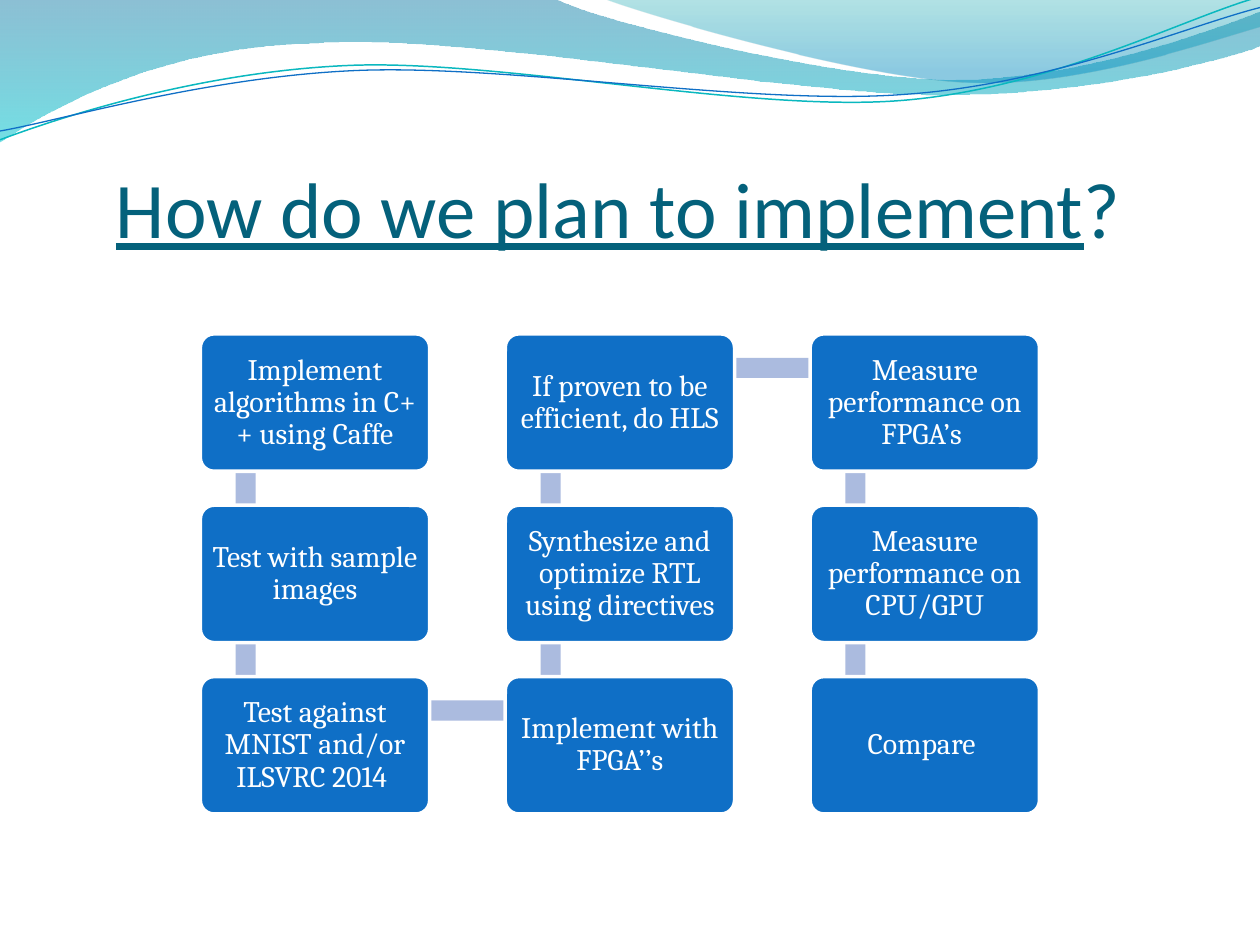
from lxml.etree import SubElement
from pptx import Presentation
from pptx.dml.color import RGBColor
from pptx.enum.shapes import MSO_SHAPE as Shape
from pptx.enum.text import MSO_ANCHOR as Anchor, MSO_AUTO_SIZE as AutoSize, PP_ALIGN as Align
from pptx.oxml.ns import qn
from pptx.util import Inches, Pt

WHITE = RGBColor(0xFF, 0xFF, 0xFF)
BLUE = RGBColor(0x0F, 0x6F, 0xC6)
PALE_BLUE = RGBColor(0xAB, 0xBB, 0xDF)
TITLE_TEAL = RGBColor(0x04, 0x61, 0x7B)
LINE_TEAL = RGBColor(0x0A, 0xB8, 0xBF)
DEEP_BLUE = RGBColor(0x00, 0x74, 0xA1)
CYAN = RGBColor(0x00, 0xC6, 0xCF)
SEA_GREEN = RGBColor(0x00, 0xA1, 0xA9)
SKY_BLUE = RGBColor(0x00, 0x8B, 0xBF)

GRID_LEFT, GRID_TOP = 1.59, 2.65
COLUMN_STEP, ROW_STEP = 2.42, 1.36
BOX_WIDTH, BOX_HEIGHT = 1.82, 1.09
BAR_THICKNESS = 0.16

BACK_WAVE = [
    (0, 0), (4.4, -0.01),
    (4.76, 0.17, 6.64, 0.63, 7.58, 0.63),
    (8.53, 0.63, 9.58, 0.26, 10, 0.09),
    (10.01, 0.36),
    (9.83, 0.44, 8.7, 0.76, 7.46, 0.75),
    (6.22, 0.75, 3.82, 0.28, 2.57, 0.34),
    (1.29, 0.36, 0.46, 0.83, -0.01, 1.13),
]
FRONT_WAVE = [
    (4.79, -0.01),
    (5.09, 0.11, 6.82, 0.62, 7.69, 0.65),
    (8.56, 0.69, 9.61, 0.32, 10, 0.21),
    (10, 0),
]
TEAL_CURVE = [
    (0, 1.11),
    (0.48, 0.93, 1.58, 0.57, 2.77, 0.52),
    (3.95, 0.47, 5.93, 0.89, 7.13, 0.8),
    (8.33, 0.71, 9.38, 0.15, 9.98, -0.02),
]
BLUE_CURVE = [
    (0, 1.04),
    (0.47, 0.96, 1.64, 0.61, 2.83, 0.56),
    (4.03, 0.51, 5.97, 0.84, 7.17, 0.75),
    (8.36, 0.67, 9.41, 0.21, 10, 0.06),
]

STEPS = [
    (0, 0, "Implement algorithms in C++ using Caffe"),
    (0, 1, "Test with sample images"),
    (0, 2, "Test against MNIST and/or ILSVRC 2014 "),
    (1, 2, "Implement with FPGA’’s"),
    (1, 1, "Synthesize and optimize RTL using directives"),
    (1, 0, "If proven to be efficient, do HLS"),
    (2, 0, "Measure performance on FPGA’s "),
    (2, 1, "Measure performance on CPU/GPU"),
    (2, 2, "Compare "),
]


def bend_lines(outline, segments):
    lines = iter(list(outline.element.spPr.iter(qn("a:lnTo"))))
    for segment in segments:
        corner = next(lines)
        if len(segment) == 6:
            corner.tag = qn("a:cubicBezTo")
            for line in (next(lines), next(lines)):
                corner.append(line[0])
                line.getparent().remove(line)


def add_outline(page, segments, closed):
    start, *rest = segments
    points = [
        (Inches(segment[i]), Inches(segment[i + 1]))
        for segment in rest
        for i in range(0, len(segment), 2)
    ]
    builder = page.shapes.build_freeform(Inches(start[0]), Inches(start[1]), scale=1.0)
    builder.add_line_segments(points, close=closed)
    outline = builder.convert_to_shape()
    bend_lines(outline, rest)
    outline.shadow.inherit = False
    return outline


def add_wave(page, segments, stops):
    wave = add_outline(page, segments, True)
    wave.line.fill.background()
    wave.fill.gradient()
    wave.fill.gradient_angle = 270
    for stop, (position, color, opacity) in zip(wave.fill.gradient_stops, stops):
        stop.position = position
        stop.color.rgb = color
    colors = list(wave.element.spPr.iter(qn("a:srgbClr")))
    for element, (position, color, opacity) in zip(colors, stops):
        SubElement(element, qn("a:alpha")).set("val", str(opacity * 1000))


def add_curve(page, segments, color, width):
    curve = add_outline(page, segments, False)
    curve.fill.background()
    curve.line.color.rgb = color
    curve.line.width = Pt(width)


def add_span(para, text, font, size, color, underline=None):
    span = para.add_run()
    span.text = text
    span.font.name = font
    span.font.size = Pt(size)
    span.font.color.rgb = color
    span.font.underline = underline


def set_title(page):
    title = page.shapes.title
    title.left, title.top = Inches(0.5), Inches(0.77)
    title.width, title.height = Inches(9), Inches(1.25)
    frame = title.text_frame
    frame.auto_size = AutoSize.NONE
    frame.vertical_anchor = Anchor.BOTTOM
    frame.margin_left, frame.margin_right = Inches(0.42), 0
    frame.margin_top, frame.margin_bottom = Inches(0.05), 0
    para = frame.paragraphs[0]
    para.alignment = Align.LEFT
    add_span(para, "How do we plan to implement", "Calibri", 45, TITLE_TEAL, True)
    add_span(para, "?", "Calibri", 45, TITLE_TEAL)


def add_block(page, kind, left, top, width, height, color):
    block = page.shapes.add_shape(kind, Inches(left), Inches(top), Inches(width), Inches(height))
    block.shadow.inherit = False
    block.fill.solid()
    block.fill.fore_color.rgb = color
    block.line.fill.background()
    return block


def cell_corner(column, row):
    return GRID_LEFT + column * COLUMN_STEP, GRID_TOP + row * ROW_STEP


def add_bar(page, start, end):
    left, top = cell_corner(start[0], min(start[1], end[1]))
    if start[0] == end[0]:
        place = (left + 0.28, top + 0.27, BAR_THICKNESS, ROW_STEP)
    else:
        place = (left + 0.37, top + 0.19, COLUMN_STEP, BAR_THICKNESS)
    add_block(page, Shape.RECTANGLE, *place, PALE_BLUE)


def add_step(page, column, row, text):
    left, top = cell_corner(column, row)
    box = add_block(page, Shape.ROUNDED_RECTANGLE, left, top, BOX_WIDTH, BOX_HEIGHT, BLUE)
    box.adjustments[0] = 0.1
    box.line.color.rgb = WHITE
    box.line.width = Pt(2)
    frame = box.text_frame
    frame.word_wrap = True
    frame.vertical_anchor = Anchor.MIDDLE
    frame.margin_left = frame.margin_right = Inches(0.06)
    frame.margin_top = frame.margin_bottom = Inches(0.06)
    para = frame.paragraphs[0]
    para.alignment = Align.CENTER
    para.line_spacing = 0.9
    add_span(para, text, "Cambria", 17, WHITE)


def main():
    deck = Presentation()
    deck.slide_width, deck.slide_height = Inches(10), Inches(7.5)
    page = deck.slides.add_slide(deck.slide_layouts[5])
    add_wave(page, BACK_WAVE, [(0, DEEP_BLUE, 45), (1, CYAN, 55)])
    add_wave(page, FRONT_WAVE, [(0, SEA_GREEN, 30), (0.8, SKY_BLUE, 45)])
    add_curve(page, TEAL_CURVE, LINE_TEAL, 0.85)
    add_curve(page, BLUE_CURVE, BLUE, 0.75)
    set_title(page)
    for start, end in zip(STEPS, STEPS[1:]):
        add_bar(page, start, end)
    for step in STEPS:
        add_step(page, *step)
    deck.save("out.pptx")


if __name__ == "__main__":
    main()
